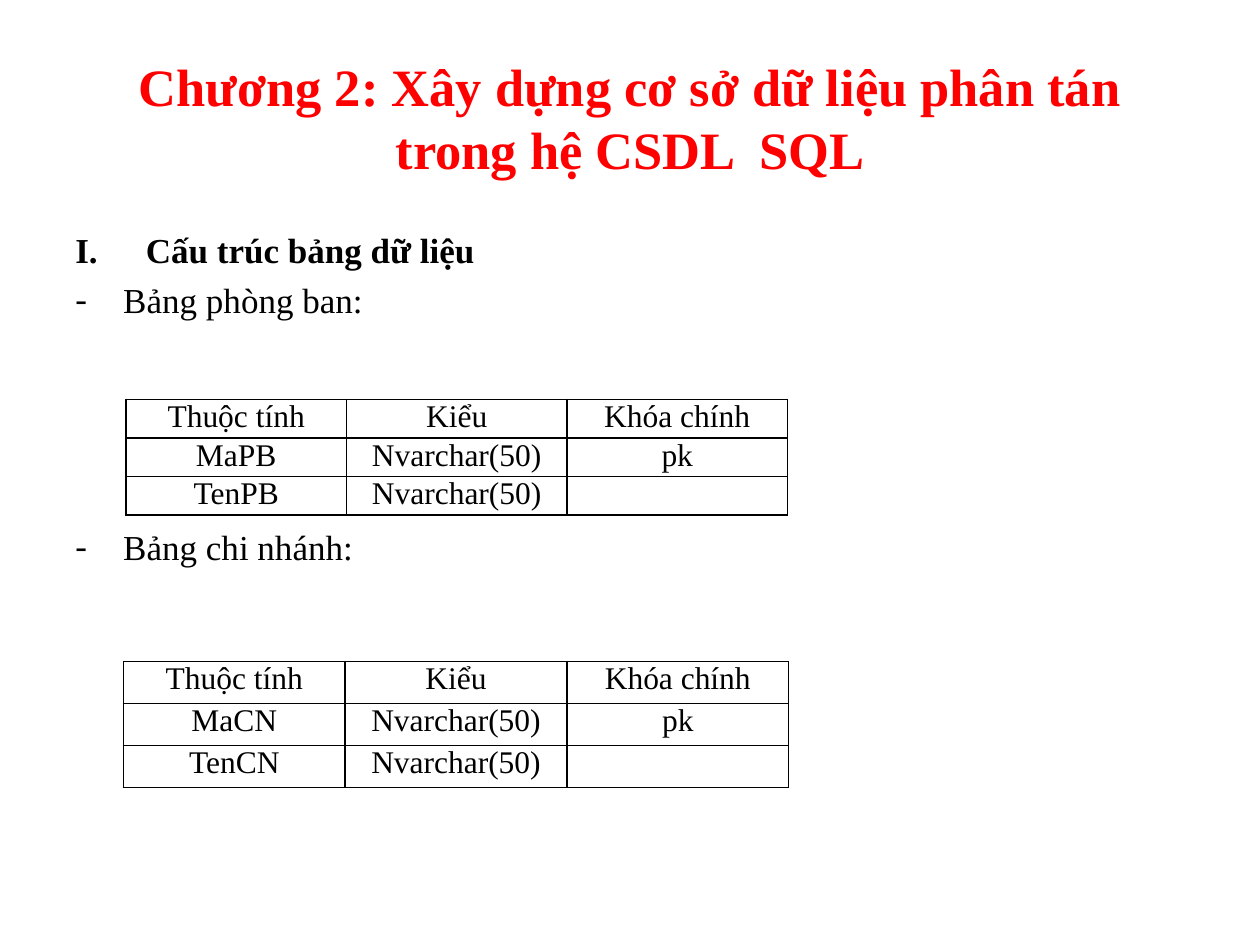
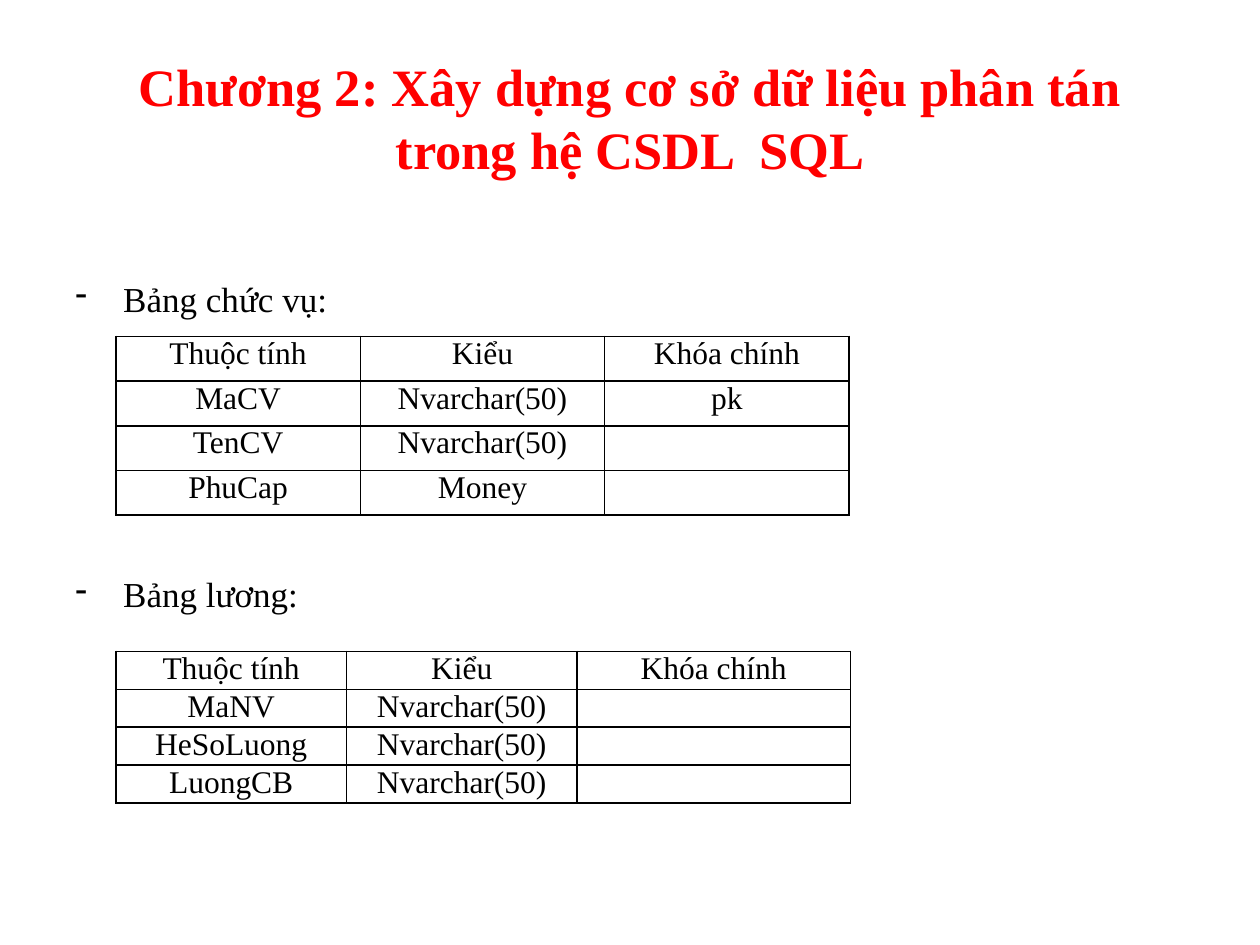
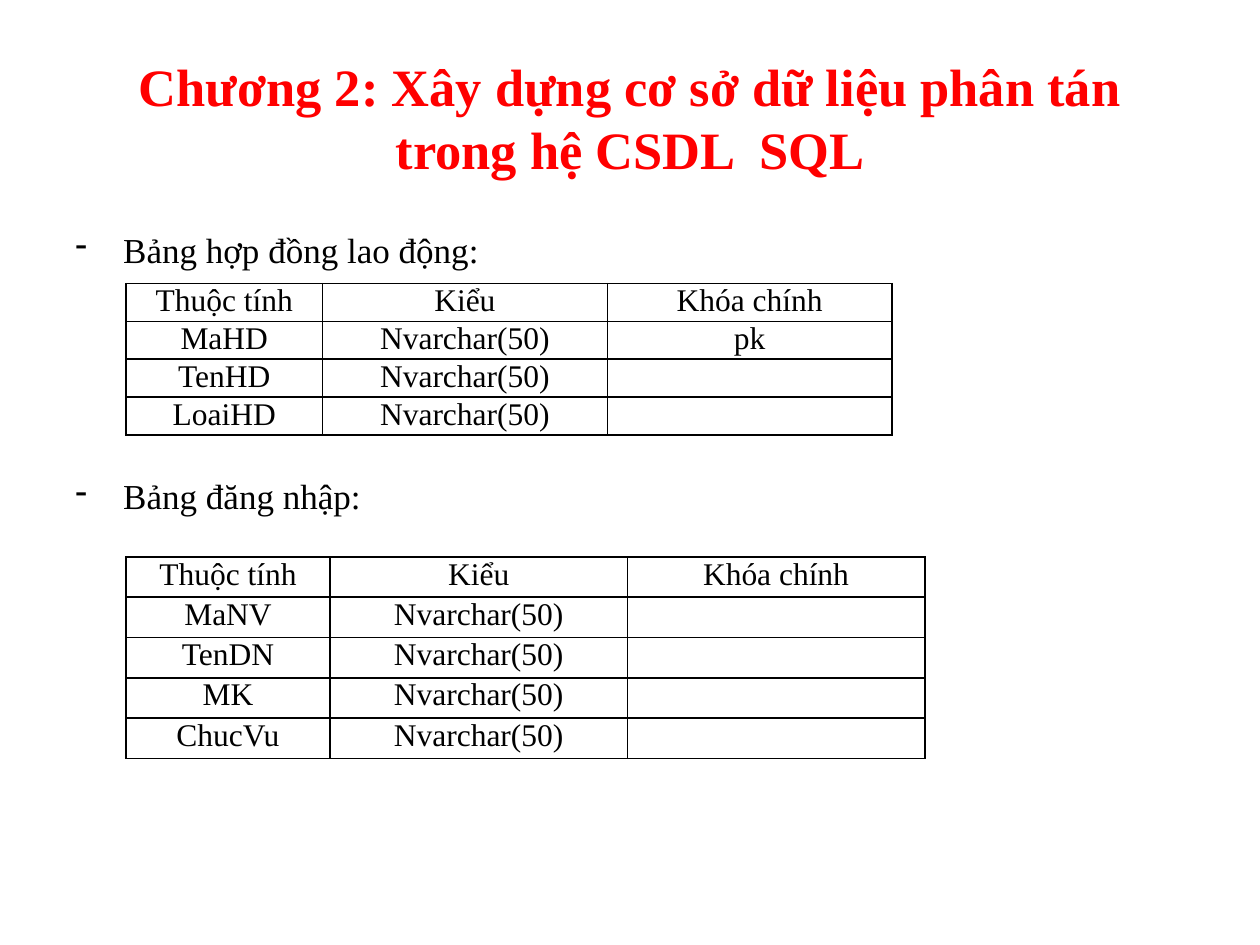
"""Build three slides that list the tables of a distributed database."""
import pptx
import pptx.util
import pptx.dml.color
import pptx.enum.text
import pptx.oxml.ns
import lxml.etree

TITLE = "Chương 2: Xây dựng cơ sở dữ liệu phân tán trong hệ CSDL  SQL"
HEAD = ("Thuộc tính", "Kiểu", "Khóa chính")
TEXT = "Nvarchar(50)"
FONT = "Times New Roman"
COLORS = {"title": "FF0000", "ink": "000000"}
PITCH, LINE = 28, 23

SLIDES = [
    {"heads": [(0, "I", "Cấu trúc bảng dữ liệu"), (1, "-", "Bảng phòng ban:"),
               (6, "-", "Bảng chi nhánh:")],
     "high": 5.58,
     "grids": [
         {"at": (1, 3.17), "cols": (1.75, 1.75, 1.75), "high": 0.92,
          "rows": [("MaPB", TEXT, "pk"), ("TenPB", TEXT, "")]},
         {"at": (0.98, 5.25), "cols": (1.76, 1.76, 1.76), "high": 1,
          "rows": [("MaCN", TEXT, "pk"), ("TenCN", TEXT, "")]}]},
    {"heads": [(1, "-", "Bảng chức vụ:"), (7, "-", "Bảng lương:")],
     "high": 5.58,
     "grids": [
         {"at": (0.92, 2.67), "cols": (1.94, 1.94, 1.94), "high": 1.42,
          "rows": [("MaCV", TEXT, "pk"), ("TenCV", TEXT, ""),
                   ("PhuCap", "Money", "")]},
         {"at": (0.92, 5.17), "cols": (1.83, 1.83, 2.17), "high": 1.17,
          "rows": [("MaNV", TEXT, ""), ("HeSoLuong", TEXT, ""),
                   ("LuongCB", TEXT, "")]}]},
    {"heads": [(0, "-", "Bảng hợp đồng lao động:"), (5, "-", "Bảng đăng nhập:")],
     "high": 4.95,
     "grids": [
         {"at": (1, 2.25), "cols": (1.56, 2.26, 2.26), "high": 1.17,
          "rows": [("MaHD", TEXT, "pk"), ("TenHD", TEXT, ""),
                   ("LoaiHD", TEXT, "")]},
         {"at": (1, 4.42), "cols": (1.62, 2.36, 2.36), "high": 1.6,
          "rows": [("MaNV", TEXT, ""), ("TenDN", TEXT, ""),
                   ("MK", TEXT, ""), ("ChucVu", TEXT, "")]}]},
]

inch, pt = pptx.util.Inches, pptx.util.Pt
align = pptx.enum.text.PP_ALIGN


def node(root, tag, **attrs):
    return lxml.etree.SubElement(root, pptx.oxml.ns.qn("a:" + tag), attrs)


def style(para, size, color, bold=False):
    for run in para.runs:
        font = run.font
        font.name, font.size, font.bold = FONT, pt(size), bold
        font.color.rgb = pptx.dml.color.RGBColor.from_string(COLORS[color])


def add_title(slide):
    shape = slide.shapes.title
    shape.left, shape.top, shape.width, shape.height = map(inch, (0.5, 0.3, 9, 1.25))
    frame = shape.text_frame
    frame.text = TITLE
    frame.auto_size = pptx.enum.text.MSO_AUTO_SIZE.NONE
    frame.vertical_anchor = pptx.enum.text.MSO_ANCHOR.MIDDLE
    frame.paragraphs[0].alignment = align.CENTER
    style(frame.paragraphs[0], 30, "title", True)


def add_heads(slide, heads, high):
    frame = slide.shapes.add_textbox(*map(inch, (0.5, 1.75, 9, high))).text_frame
    frame.word_wrap = True
    frame.text = "\n".join(text for _, _, text in heads)
    last = heads[0][0]
    frame.margin_top = inch(0.06) + pt(PITCH * last)
    for para, (line, mark, _) in zip(frame.paragraphs, heads):
        para.space_before = pt(max(0, PITCH * (line - last) - LINE))
        last = line
        roman = mark == "I"
        style(para, 20, "ink", roman)
        props = para._p.get_or_add_pPr()
        dent = inch(0.56 if roman else 0.38)
        props.set("marL", str(dent))
        props.set("indent", str(-dent))
        if roman:
            node(props, "buFont", typeface=FONT)
            node(props, "buAutoNum", type="romanUcPeriod")
        else:
            node(props, "buFontTx")
            node(props, "buChar", char=mark)


def add_lines(cell):
    cell.fill.background()
    props = cell._tc.get_or_add_tcPr()
    for spot, side in enumerate("LRTB"):
        line = node(props, "ln" + side, w=str(pt(1)))
        node(node(line, "solidFill"), "srgbClr", val=COLORS["ink"])
        props.insert(spot, line)


def add_grid(slide, at, cols, high, rows):
    rows = [HEAD, *rows]
    size = map(inch, (*at, sum(cols), high))
    table = slide.shapes.add_table(len(rows), len(cols), *size).table
    table.first_row = table.horz_banding = False
    for col, wide in zip(table.columns, cols):
        col.width = inch(wide)
    for row, texts in zip(table.rows, rows):
        row.height = inch(high / len(rows))
        for cell, text in zip(row.cells, texts):
            cell.margin_left = cell.margin_right = inch(0.07)
            cell.margin_top = cell.margin_bottom = 0
            para = cell.text_frame.paragraphs[0]
            para.alignment = align.CENTER
            if text:
                para.text = text
                style(para, 18, "ink")
            else:
                node(node(para._p, "endParaRPr", sz="1800"), "latin", typeface=FONT)
            add_lines(cell)


deck = pptx.Presentation()
deck.slide_width, deck.slide_height = inch(10), inch(7.5)
for page in SLIDES:
    slide = deck.slides.add_slide(deck.slide_layouts[5])
    add_title(slide)
    add_heads(slide, page["heads"], page["high"])
    for grid in page["grids"]:
        add_grid(slide, **grid)
deck.save("out.pptx")
